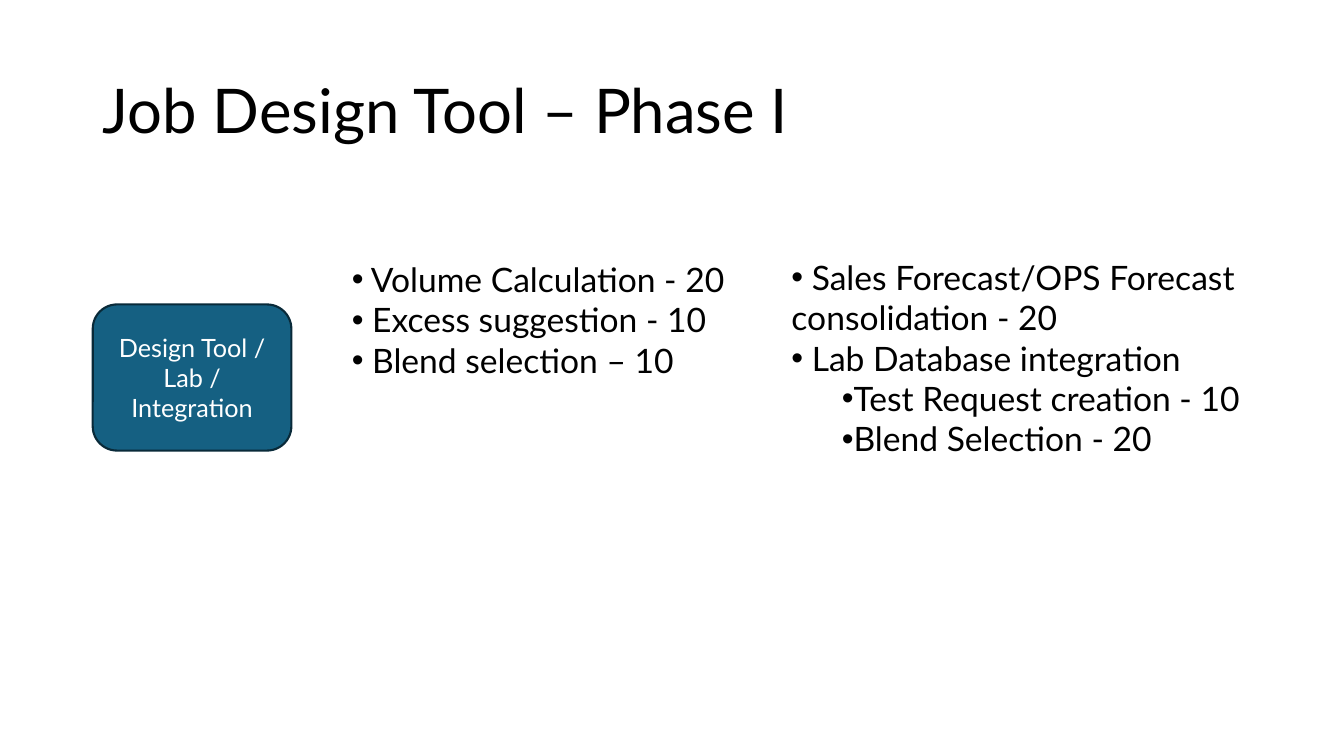
from lxml import etree
from pptx import Presentation
from pptx.dml.color import RGBColor
from pptx.enum import shapes, text
from pptx.oxml import ns
from pptx.util import Inches, Pt

COLORS = {"ink": "000000", "paper": "FFFFFF", "box": "156082", "edge": "092A39"}


class SlideBuilder:
    font = "Lato"
    bullet_font = "Arial"

    def __init__(self, slide):
        self.slide = slide

    def color(self, name):
        return RGBColor.from_string(COLORS[name])

    def style(self, paragraph, size, color):
        for run in paragraph.runs:
            run.font.name = self.font
            run.font.size = Pt(size)
            run.font.color.rgb = self.color(color)

    def filled_shape(self, preset, fill, left, top, width, height):
        shape = self.slide.shapes.add_shape(
            preset, Inches(left), Inches(top), Inches(width), Inches(height))
        shape.shadow.inherit = False
        shape.fill.solid()
        shape.fill.fore_color.rgb = self.color(fill)
        shape.text_frame.word_wrap = True
        return shape

    def title(self, wording, left, top, width, height):
        box = self.slide.shapes.add_textbox(
            Inches(left), Inches(top), Inches(width), Inches(height))
        frame = box.text_frame
        frame.word_wrap = True
        frame.vertical_anchor = text.MSO_ANCHOR.MIDDLE
        frame.text = wording
        frame.paragraphs[0].line_spacing = 0.9
        self.style(frame.paragraphs[0], 44, "ink")

    def rounded_box(self, wording, left, top, width, height):
        box = self.filled_shape(
            shapes.MSO_SHAPE.ROUNDED_RECTANGLE, "box", left, top, width, height)
        box.line.color.rgb = self.color("edge")
        box.line.width = Pt(1.5)
        frame = box.text_frame
        frame.vertical_anchor = text.MSO_ANCHOR.MIDDLE
        frame.text = wording
        frame.paragraphs[0].alignment = text.PP_ALIGN.CENTER
        self.style(frame.paragraphs[0], 18, "paper")

    def bullet_list(self, items, left, top, width, height, inset_top):
        """Items are (level, wording) pairs; each level indents by half an inch."""
        panel = self.filled_shape(
            shapes.MSO_SHAPE.RECTANGLE, "paper", left, top, width, height)
        panel.line.fill.background()
        frame = panel.text_frame
        frame.vertical_anchor = text.MSO_ANCHOR.TOP
        frame.margin_left = frame.margin_right = frame.margin_bottom = 0
        frame.margin_top = Inches(inset_top)
        frame.text = "\n".join(wording for _, wording in items)
        for paragraph, (level, _) in zip(frame.paragraphs, items):
            paragraph.level = level
            paragraph.alignment = text.PP_ALIGN.LEFT
            self.style(paragraph, 24, "ink")
            properties = paragraph._p.get_or_add_pPr()
            properties.set("marL", str(Inches(0.5 * level)))
            properties.set("indent", "0")
            etree.SubElement(properties, ns.qn("a:buFont")).set(
                "typeface", self.bullet_font)
            etree.SubElement(properties, ns.qn("a:buChar")).set("char", "•")


def main():
    deck = Presentation()
    deck.slide_width, deck.slide_height = Inches(13.33), Inches(7.5)
    page = SlideBuilder(deck.slides.add_slide(deck.slide_layouts[6]))

    page.title("Job Design Tool – Phase I", 0.92, 0.4, 11.5, 1.45)
    page.rounded_box("Design Tool / Lab / Integration", 0.92, 3.02, 1.97, 1.45)
    page.bullet_list([
        (0, " Volume Calculation - 20"),
        (0, " Excess suggestion - 10"),
        (0, " Blend selection – 10"),
    ], 3.49, 2.25, 4.23, 2.22, inset_top=0.32)
    page.bullet_list([
        (0, " Sales Forecast/OPS Forecast consolidation - 20"),
        (0, " Lab Database integration"),
        (1, "Test Request creation - 10"),
        (1, "Blend Selection - 20"),
    ], 7.85, 1.93, 5.12, 3.33, inset_top=0.62)

    deck.save("out.pptx")


if __name__ == "__main__":
    main()
